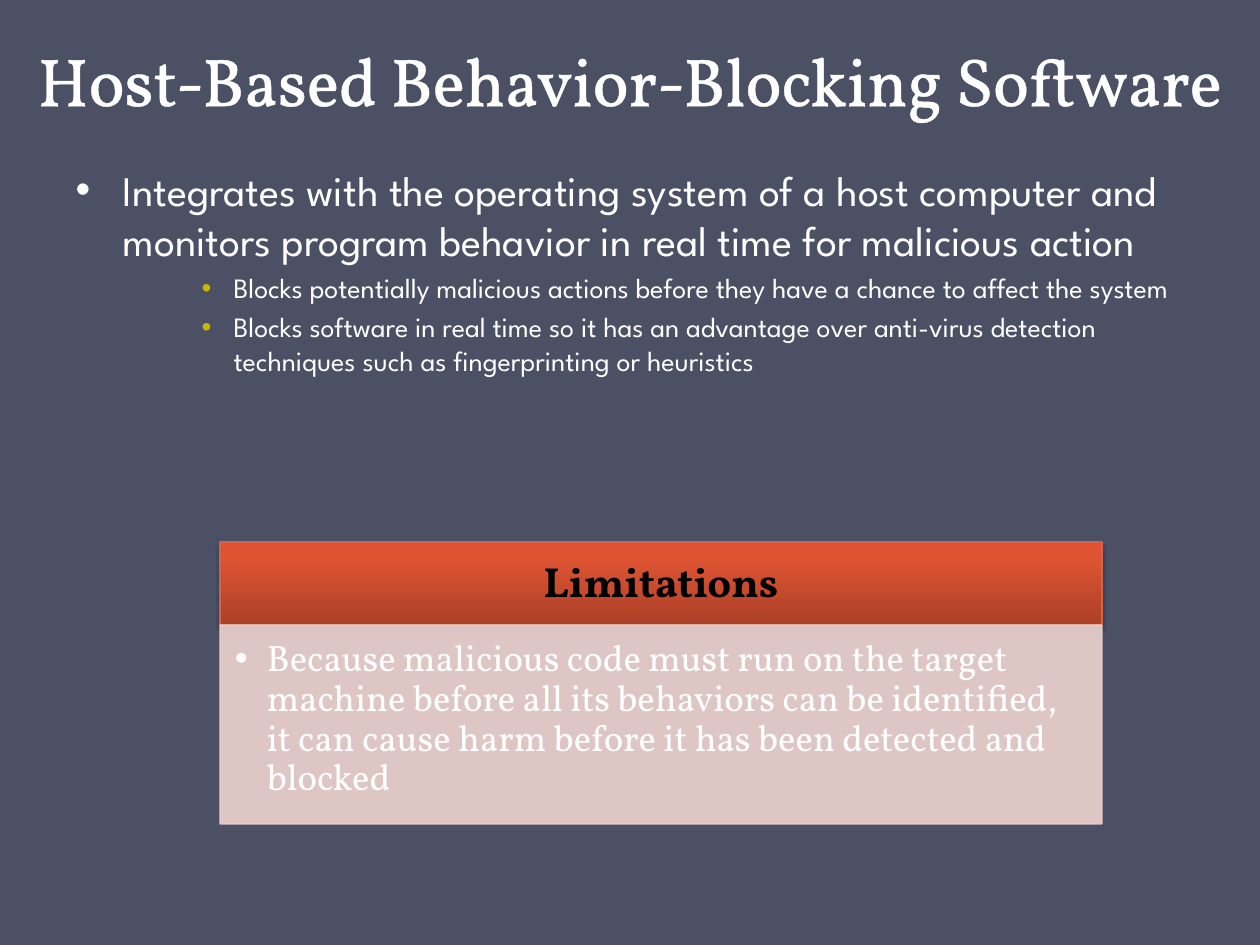
from lxml import etree
from pptx import Presentation
from pptx.dml.color import RGBColor
from pptx.enum.shapes import MSO_SHAPE
from pptx.enum.text import MSO_ANCHOR, MSO_AUTO_SIZE, PP_ALIGN
from pptx.oxml import parse_xml
from pptx.oxml.ns import nsdecls, qn
from pptx.util import Pt

RECT = MSO_SHAPE.RECTANGLE
BOTTOM, MIDDLE, TOP = MSO_ANCHOR.BOTTOM, MSO_ANCHOR.MIDDLE, MSO_ANCHOR.TOP
CENTER, LEFT = PP_ALIGN.CENTER, PP_ALIGN.LEFT
FIXED = MSO_AUTO_SIZE.NONE

SLATE = RGBColor(0x4B, 0x50, 0x64)
WHITE = RGBColor(0xFF, 0xFF, 0xFF)
BLACK = RGBColor(0x00, 0x00, 0x00)
GOLD = RGBColor(0xCC, 0xB4, 0x00)
RUST = RGBColor(0xD1, 0x63, 0x49)
BLUSH = RGBColor(0xEE, 0xD3, 0xD0)
DARK = RGBColor(0xAB, 0x40, 0x27)
WARM = RGBColor(0xDE, 0x54, 0x33)
BRIGHT = RGBColor(0xE3, 0x52, 0x30)

SERIF = "Vollkorn"
SANS = "League Spartan"
SCALE = 914400 / 126


def emu(px):
    return round(px * SCALE)


def node(xml):
    start, rest = xml.split(">", 1)
    slash = "/" if start.endswith("/") else ""
    return parse_xml(f"{start.rstrip('/')} {nsdecls('a')}{slash}>{rest}")


class Deck:
    def __init__(self):
        self.prs = Presentation()
        self.prs.slide_width, self.prs.slide_height = emu(1260), emu(945)
        self.slide = self.prs.slides.add_slide(self.prs.slide_layouts[1])
        fill = self.slide.background.fill
        fill.solid()
        fill.fore_color.rgb = SLATE

    def place(self, shape, box):
        shape.left, shape.top, shape.width, shape.height = map(emu, box)

    def style(self, para, font, size, color, bold=False):
        for run in para.runs:
            run.font.name, run.font.size, run.font.bold = font, Pt(size), bold
            run.font.color.rgb = color

    def indent(self, para, left, hang):
        props = para._p.get_or_add_pPr()
        props.set("marL", str(emu(left)))
        props.set("indent", str(emu(-hang)))
        return props

    def title(self, text, box):
        shape = self.slide.shapes.title
        self.place(shape, box)
        frame = shape.text_frame
        frame.text = text
        frame.auto_size, frame.vertical_anchor = FIXED, BOTTOM
        para = frame.paragraphs[0]
        para.alignment, para.line_spacing = CENTER, Pt(58)
        self.style(para, SERIF, 38.7, WHITE)
        edge = node(f'<a:ln w="18415"><a:solidFill><a:srgbClr val="{WHITE}"/>'
                    '</a:solidFill></a:ln>')
        para.runs[0].font._element.insert(0, edge)

    def list(self, lead, points, box):
        shape = self.slide.placeholders[1]
        self.place(shape, box)
        frame = shape.text_frame
        frame.auto_size = FIXED
        frame.text = lead
        self.style(frame.paragraphs[0], SANS, 24, WHITE)
        self.indent(frame.paragraphs[0], 47, 47)
        for point in points:
            para = frame.add_paragraph()
            para.text, para.level = point, 2
            self.style(para, SANS, 16, WHITE)
            props = self.indent(para, 158, 32)
            props.append(node(f'<a:buClr><a:srgbClr val="{GOLD}"/></a:buClr>'))

    def panel(self, text, box, pads, size, color, edge, bold=False):
        shape = self.slide.shapes.add_shape(RECT, *map(emu, box))
        shape.shadow.inherit = False
        shape.fill.solid()
        shape.fill.fore_color.rgb = edge
        shape.line.color.rgb = edge
        shape.line.width = Pt(0.75)
        frame = shape.text_frame
        frame.word_wrap = True
        (frame.margin_left, frame.margin_top,
         frame.margin_right, frame.margin_bottom) = map(emu, pads)
        frame.text = text
        para = frame.paragraphs[0]
        para.line_spacing = 0.9
        self.style(para, SERIF, size, color, bold)
        return shape, frame, para

    def header(self, text, box):
        shape, frame, para = self.panel(
            text, box, (24, 14, 24, 14), 24, BLACK, RUST, True)
        frame.vertical_anchor, para.alignment = MIDDLE, CENTER
        stops = "".join(
            f'<a:gs pos="{pos * 1000}"><a:srgbClr val="{tone}"/></a:gs>'
            for pos, tone in ((0, DARK), (80, WARM), (100, BRIGHT)))
        props = shape._element.spPr
        props.replace(props.find(qn("a:solidFill")), node(
            f'<a:gradFill><a:gsLst>{stops}</a:gsLst>'
            '<a:lin ang="16200000" scaled="0"/></a:gradFill>'))
        props.find(qn("a:effectLst")).append(node(
            f'<a:outerShdw blurRad="{Pt(3.1)}" dist="{Pt(1.8)}" dir="5400000" '
            f'rotWithShape="0"><a:srgbClr val="{BLACK}">'
            '<a:alpha val="35000"/></a:srgbClr></a:outerShdw>'))

    def detail(self, text, box):
        shape, frame, para = self.panel(
            text, box, (15, 15, 20, 23), 21, WHITE, BLUSH)
        frame.vertical_anchor, para.alignment = TOP, LEFT
        for tone in shape._element.spPr.iter(qn("a:srgbClr")):
            etree.SubElement(tone, qn("a:alpha")).set("val", "90000")
        props = self.indent(para, 32, 32)
        props.append(node('<a:buFont typeface="Arial"/>'))
        props.append(node('<a:buChar char="•"/>'))


def main():
    deck = Deck()
    deck.title("Host-Based Behavior-Blocking Software", (0, -32, 1260, 158))
    deck.list(
        "Integrates with the operating system of a host computer and "
        "monitors program behavior in real time for malicious action",
        ("Blocks potentially malicious actions before they have a chance "
         "to affect the system",
         "Blocks software in real time so it has an advantage over anti-virus "
         "detection techniques such as fingerprinting or heuristics"),
        (63, 158, 1166, 420))
    deck.header("Limitations", (220, 542, 882, 83))
    deck.detail(
        "Because malicious code must run on the target machine before all its "
        "behaviors can be identified, it can cause harm before it has been "
        "detected and blocked",
        (220, 625, 882, 199))
    deck.prs.save("out.pptx")


if __name__ == "__main__":
    main()
